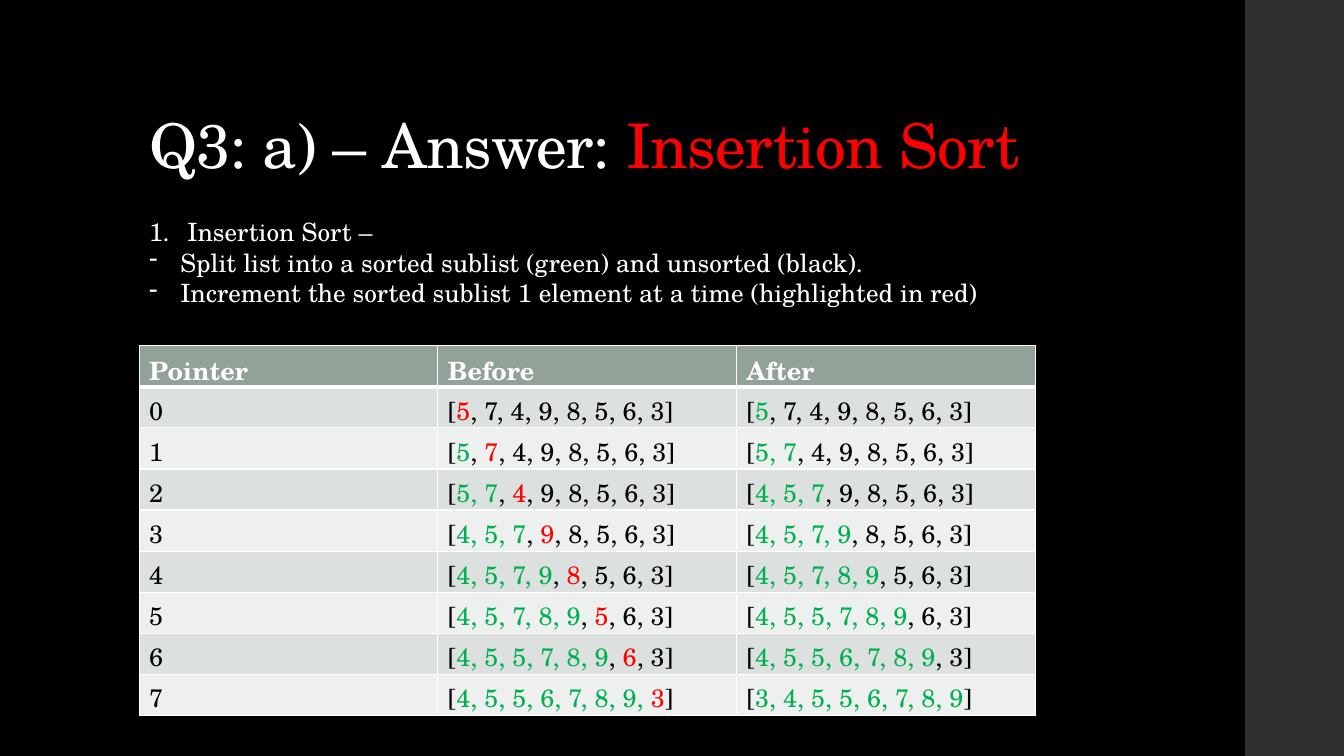
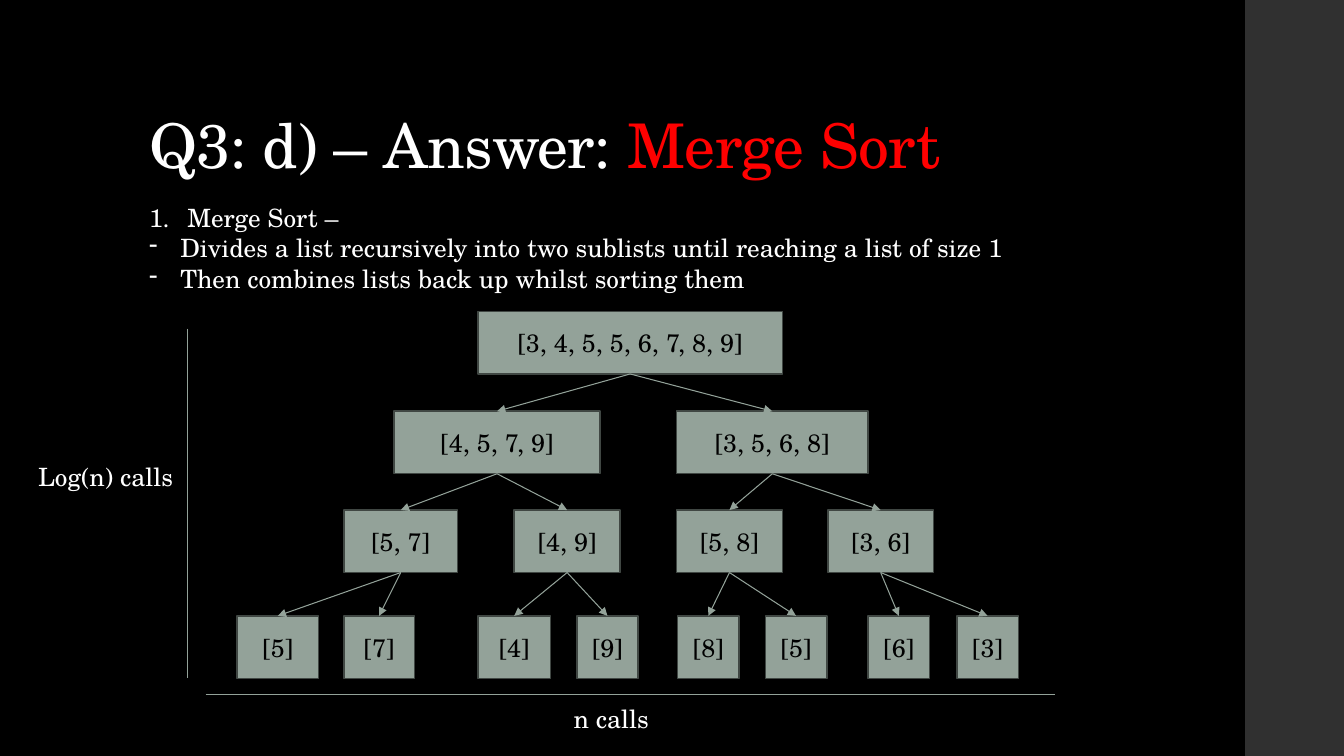
from lxml.etree import SubElement
from pptx import Presentation
from pptx.dml.color import RGBColor
from pptx.enum.shapes import MSO_CONNECTOR, MSO_SHAPE
from pptx.enum.text import MSO_ANCHOR, PP_ALIGN
from pptx.oxml.ns import qn
from pptx.util import Inches, Pt

FONT = "TeX Gyre Schola"
COLORS = {
    "black": "000000",
    "white": "FFFFFF",
    "band": "303030",
    "sage": "93A299",
    "outline": "404743",
    "red": "FF0000",
    "green": "00B050",
    "odd_row": "DCE0DE",
    "even_row": "EEF0EF",
}
RGB = {name: RGBColor.from_string(value) for name, value in COLORS.items()}


def write(p, text, size=18, color="white", bold=False, spacing=None):
    r = p.add_run()
    r.text = text
    r.font.name = FONT
    r.font.size = Pt(size)
    r.font.bold = bold
    r.font.color.rgb = RGB[color]
    if spacing is not None:
        r.font._element.set("spc", str(int(spacing * 100)))


def add_line(s, x1, y1, x2, y2, arrow=False):
    line = s.shapes.add_connector(
        MSO_CONNECTOR.STRAIGHT, Inches(x1), Inches(y1), Inches(x2), Inches(y2)
    )
    line.line.color.rgb = RGB["sage"]
    line.line.width = Pt(0.75)
    sp_pr = line._element.spPr
    if arrow:
        SubElement(sp_pr.find(qn("a:ln")), qn("a:tailEnd"), type="triangle")
    SubElement(sp_pr, qn("a:effectLst"))
    return line


prs = Presentation()
prs.slide_width = Inches(13.33)
prs.slide_height = Inches(7.5)
blank = prs.slide_layouts[6]
blank.background.fill.solid()
blank.background.fill.fore_color.rgb = RGB["black"]

intros = [
    ("Q3: a) – Answer: ", "Insertion Sort", 2.1, 8.5, [
        "Split list into a sorted sublist (green) and unsorted (black).",
        "Increment the sorted sublist 1 element at a time (highlighted in red)",
    ]),
    ("Q3: d) – Answer: ", "Merge Sort", 1.96, 9.74, [
        "Divides a list recursively into two sublists until reaching a list of size 1",
        "Then combines lists back up whilst sorting them",
    ]),
]
slides = []
for question, answer, top, width, points in intros:
    s = prs.slides.add_slide(blank)
    slides.append(s)

    title = s.shapes.add_textbox(Inches(1.38), Inches(0.4), Inches(10.6), Inches(1.45))
    tf = title.text_frame
    tf.word_wrap = True
    tf.vertical_anchor = MSO_ANCHOR.BOTTOM
    p = tf.paragraphs[0]
    p.line_spacing = 0.9
    write(p, question, size=44, spacing=-0.5)
    write(p, answer, size=44, color="red", spacing=-0.5)

    body = s.shapes.add_textbox(Inches(1.38), Inches(top), Inches(width), Inches(1.01))
    tf = body.text_frame
    tf.word_wrap = True
    for i, text in enumerate([answer + " –"] + points):
        p = tf.add_paragraph() if i else tf.paragraphs[0]
        write(p, text)
        p_pr = p._p.get_or_add_pPr()
        indent = Inches(0.31 if i else 0.38)
        p_pr.set("marL", str(indent))
        p_pr.set("indent", str(-indent))
        if i:
            SubElement(p_pr, qn("a:buChar"), char="-")
        else:
            SubElement(p_pr, qn("a:buAutoNum"), type="arabicPeriod")

insertion, merge = slides

band = insertion.shapes.add_shape(
    MSO_SHAPE.RECTANGLE, Inches(12.35), 0, Inches(0.98), prs.slide_height
)
band.shadow.inherit = False
band.fill.solid()
band.fill.fore_color.rgb = RGB["band"]
band.line.fill.background()
blank.shapes.element.append(band._element)

numbers = [5, 7, 4, 9, 8, 5, 6, 3]
rows = [[[(name, "white")] for name in ("Pointer", "Before", "After")]]
for i, number in enumerate(numbers):
    done = ", ".join(map(str, sorted(numbers[:i])))
    grown = ", ".join(map(str, sorted(numbers[:i + 1])))
    rest = "".join(f", {n}" for n in numbers[i + 1:]) + "]"
    before = [("[", "black")]
    if i:
        before += [(done, "green"), (", ", "black" if numbers[i + 1:] else "green")]
    before += [(str(number), "red"), (rest, "black")]
    after = [("[", "black"), (grown, "green"), (rest, "black")]
    rows.append([[(str(i), "black")], before, after])

table = insertion.shapes.add_table(
    len(rows), 3, Inches(1.38), Inches(3.43), Inches(8.89), Inches(3.67)
).table
for i, row in enumerate(rows):
    for j, runs in enumerate(row):
        cell = table.cell(i, j)
        for text, color in runs:
            write(cell.text_frame.paragraphs[0], text, color=color, bold=i == 0)
        tc_pr = cell._tc.get_or_add_tcPr()
        for side in ("lnL", "lnR", "lnT", "lnB"):
            thick = (i, side) in ((0, "lnB"), (1, "lnT"))
            ln = SubElement(tc_pr, qn(f"a:{side}"), w=str(Pt(3 if thick else 1)))
            SubElement(SubElement(ln, qn("a:solidFill")), qn("a:srgbClr"), val=COLORS["white"])
        cell.fill.solid()
        fill = "sage" if i == 0 else "odd_row" if i % 2 else "even_row"
        cell.fill.fore_color.rgb = RGB[fill]

levels = [
    (3.09, [(4.74, 3.02, "[3, 4, 5, 5, 6, 7, 8, 9]")]),
    (4.08, [(3.91, 2.04, "[4, 5, 7, 9]"), (6.71, 1.9, "[3, 5, 6, 8]")]),
    (5.06, [(3.41, 1.13, "[5, 7]"), (5.1, 1.05, "[4, 9]"),
            (6.71, 1.05, "[5, 8]"), (8.21, 1.05, "[3, 6]")]),
    (6.11, [(2.35, 0.81, "[5]"), (3.41, 0.7, "[7]"), (4.74, 0.72, "[4]"),
            (5.72, 0.61, "[9]"), (6.72, 0.61, "[8]"), (7.59, 0.61, "[5]"),
            (8.61, 0.61, "[6]"), (9.49, 0.61, "[3]")]),
]
parents = []
for top, nodes in levels:
    boxes = []
    for i, (left, width, text) in enumerate(nodes):
        box = merge.shapes.add_shape(
            MSO_SHAPE.RECTANGLE, Inches(left), Inches(top), Inches(width), Inches(0.62)
        )
        box.shadow.inherit = False
        box.fill.solid()
        box.fill.fore_color.rgb = RGB["sage"]
        box.line.color.rgb = RGB["outline"]
        box.line.width = Pt(1.1)
        tf = box.text_frame
        tf.vertical_anchor = MSO_ANCHOR.MIDDLE
        tf.paragraphs[0].alignment = PP_ALIGN.CENTER
        write(tf.paragraphs[0], text, color="black")
        boxes.append(box)
        if parents:
            arrow = add_line(merge, 0, 0, 1, 1, arrow=True)
            arrow.begin_connect(parents[i // 2], 2)
            arrow.end_connect(box, 0)
    parents = boxes

add_line(merge, 1.86, 3.26, 1.86, 6.73)
add_line(merge, 2.04, 6.89, 10.46, 6.89)
for left, top, width, text in [(0.28, 4.53, 1.55, "Log(n) calls"), (5.59, 6.93, 0.95, "n calls")]:
    label = merge.shapes.add_textbox(Inches(left), Inches(top), Inches(width), Inches(0.4))
    label.text_frame.word_wrap = False
    write(label.text_frame.paragraphs[0], text)

prs.save("out.pptx")
